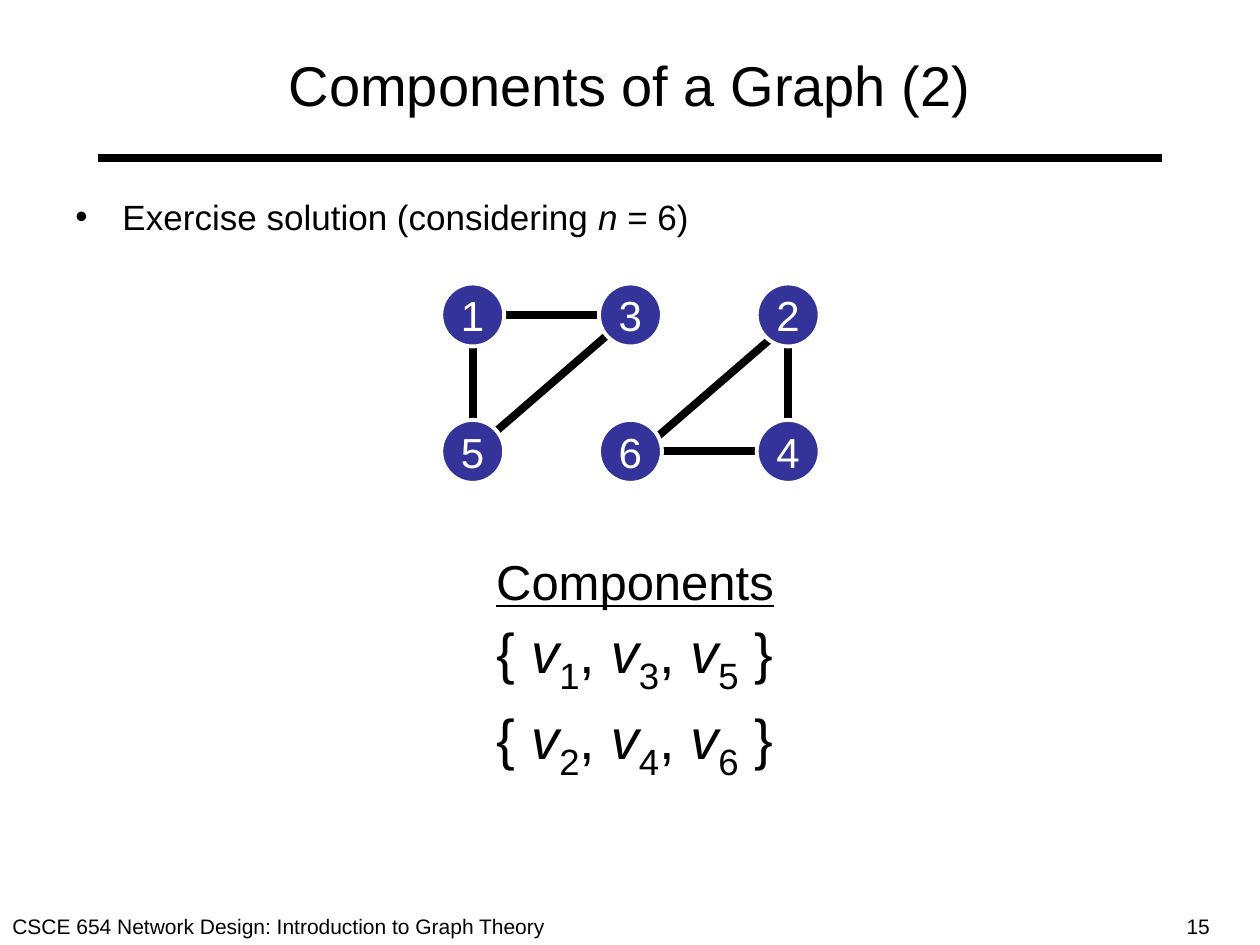
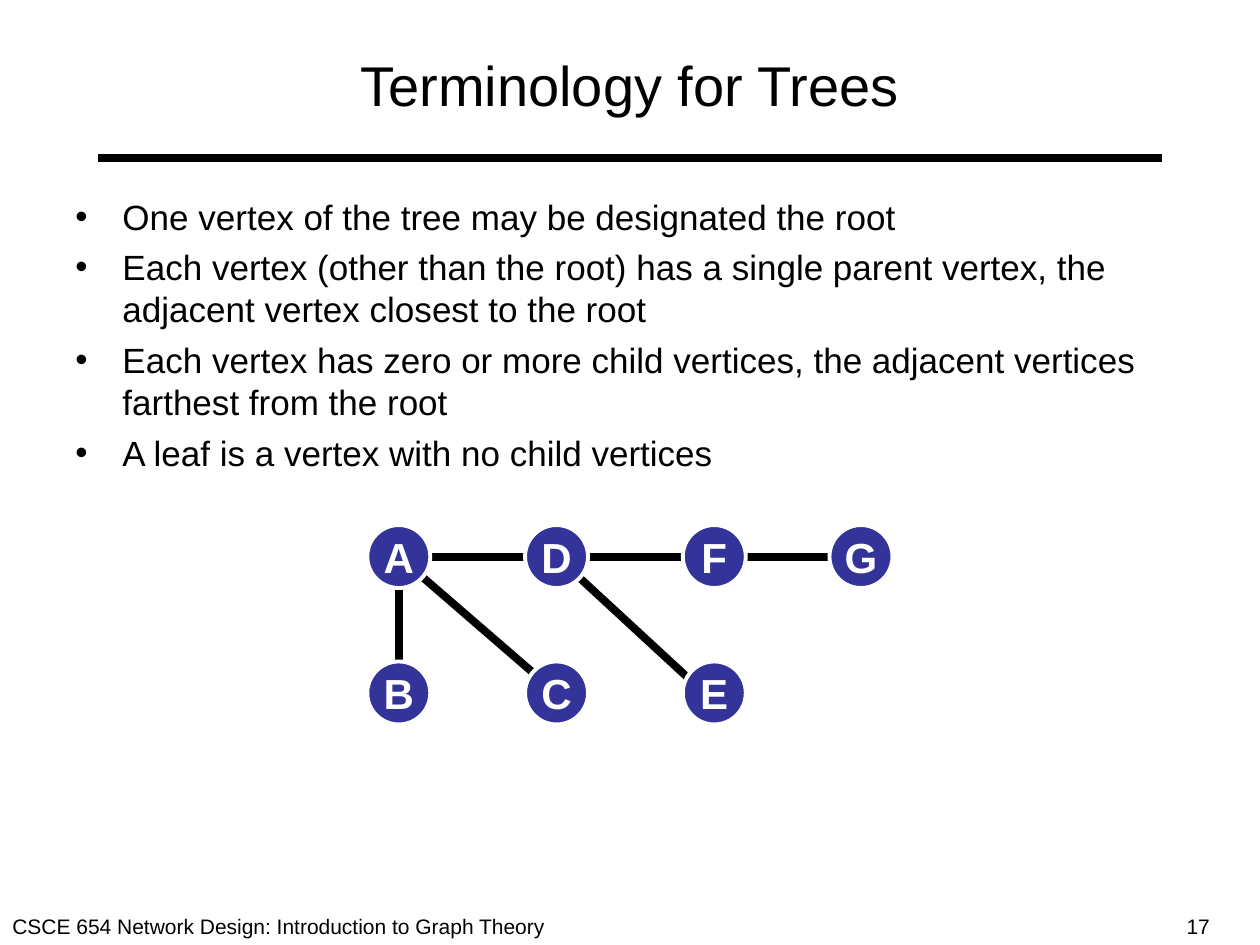
from lxml.etree import SubElement
from pptx import Presentation
from pptx.dml.color import RGBColor
from pptx.enum.shapes import MSO_CONNECTOR as CONN, MSO_SHAPE as SHAPE
from pptx.enum.text import MSO_ANCHOR as ANCHOR, PP_ALIGN as ALIGN
from pptx.oxml.ns import qn
from pptx.util import Cm, Pt

FONT, INK, PAPER, NODE = "Arial", "000000", "FFFFFF", "333399"
FOOTER = "CSCE 654 Network Design: Introduction to Graph Theory"
NODE_SIZE, COL_STEP, ROW_STEP = 1.27, 3.18, 2.75
LINE_WIDTH, INDENT = 4.5, 0.95

SLIDES = [
    {
        "title": "Components of a Graph (2)",
        "number": "15",
        "bullets": [
            [("Exercise solution (considering ", {}), ("n", {"italic": True}), (" = 6)", {})],
        ],
        "graph": {
            "origin": (9.53, 6.35),
            "bold": False,
            "nodes": {"1": (0, 0), "5": (0, 1), "3": (1, 0),
                      "6": (1, 1), "2": (2, 0), "4": (2, 1)},
            "edges": [("1", "3", 0, 0), ("5", "1", 0, 0), ("5", "3", 0, 0),
                      ("6", "2", 0.2, 0.2), ("6", "4", 0, 0), ("4", "2", 0, 0)],
        },
        "components": ["135", "246"],
    },
    {
        "title": "Terminology for Trees",
        "number": "17",
        "bullets": [
            [("One vertex of the tree may be designated the root", {})],
            [("Each vertex (other than the root) has a single parent vertex, "
              "the adjacent vertex closest to the root", {})],
            [("Each vertex has zero or more child vertices, "
              "the adjacent vertices farthest from the root", {})],
            [("A leaf is a vertex with no child vertices", {})],
        ],
        "graph": {
            "origin": (8.04, 11.22),
            "bold": True,
            "nodes": {"A": (0, 0), "B": (0, 1), "D": (1, 0), "C": (1, 1),
                      "F": (2, 0), "E": (2, 1), "G": (2.93, 0)},
            "edges": [("A", "B", 0, 0), ("D", "A", 0, 0), ("C", "A", 0, 0),
                      ("F", "D", 0, 0), ("D", "E", 0, -0.2), ("G", "F", 0, 0)],
        },
        "components": [],
    },
]


def rgb(color):
    return RGBColor.from_string(color)


def add_run(p, text, size, color=INK, bold=False, italic=False, underline=False, baseline=0):
    r = p.add_run()
    r.text = text
    f = r.font
    f.name, f.size, f.bold, f.italic, f.underline = FONT, Pt(size), bold, italic, underline
    f.color.rgb = rgb(color)
    if baseline:
        r._r.get_or_add_rPr().set("baseline", str(baseline * 1000))


def add_bullet(p):
    pPr = p._p.get_or_add_pPr()
    pPr.set("marL", str(Cm(INDENT)))
    pPr.set("indent", str(-Cm(INDENT)))
    SubElement(SubElement(pPr, qn("a:buClr")), qn("a:srgbClr"), val=INK)
    SubElement(pPr, qn("a:buFont"), typeface=FONT)
    SubElement(pPr, qn("a:buChar"), char="•")


def add_text(s, box, paragraphs, size, align=ALIGN.LEFT, anchor=ANCHOR.TOP,
             wrap=True, bullets=False, space=0):
    tf = s.shapes.add_textbox(*map(Cm, box)).text_frame
    tf.word_wrap, tf.vertical_anchor = wrap, anchor
    for i, runs in enumerate(paragraphs):
        p = tf.add_paragraph() if i else tf.paragraphs[0]
        p.alignment = align
        if i and space:
            p.space_before = Pt(space)
        if bullets:
            add_bullet(p)
        for text, style in runs:
            add_run(p, text, **{"size": size, **style})


def add_line(s, start, end):
    line = s.shapes.add_connector(CONN.STRAIGHT, *map(Cm, (*start, *end)))
    line.line.color.rgb = rgb(INK)
    line.line.width = Pt(LINE_WIDTH)
    SubElement(line._element.spPr, qn("a:effectLst"))


def add_node(s, label, center, bold):
    left, top = (c - NODE_SIZE / 2 for c in center)
    sp = s.shapes.add_shape(SHAPE.OVAL, *map(Cm, (left, top, NODE_SIZE, NODE_SIZE)))
    sp.shadow.inherit = False
    sp.fill.solid()
    sp.fill.fore_color.rgb = rgb(NODE)
    sp.line.color.rgb = rgb(PAPER)
    sp.line.width = Pt(2.25)
    tf = sp.text_frame
    tf.word_wrap, tf.vertical_anchor = False, ANCHOR.MIDDLE
    p = tf.paragraphs[0]
    p.alignment = ALIGN.CENTER
    add_run(p, label, 24, PAPER, bold)


def add_graph(s, origin, bold, nodes, edges):
    x0, y0 = origin
    centers = {name: (x0 + col * COL_STEP, y0 + row * ROW_STEP)
               for name, (col, row) in nodes.items()}
    for a, b, shift_a, shift_b in edges:
        (xa, ya), (xb, yb) = centers[a], centers[b]
        add_line(s, (xa + shift_a, ya), (xb + shift_b, yb))
    for name, center in centers.items():
        add_node(s, name, center, bold)


def component_runs(vertices):
    runs = []
    for i, vertex in enumerate(vertices):
        runs += [(", " if i else "{ ", {}), ("v", {"italic": True}),
                 (vertex, {"size": 36, "baseline": -25})]
    return runs + [(" }", {})]


def add_frame(s, title, number):
    add_line(s, (1.98, 3.18), (23.42, 3.18))
    add_text(s, (0, 18.29, 11.5, 0.76), [[(FOOTER, {})]], 12)
    add_text(s, (23.67, 18.29, 1.73, 0.76), [[(number, {})]], 12)
    add_text(s, (1.27, 0.43, 22.86, 2.54), [[(title, {})]], 32, ALIGN.CENTER, ANCHOR.MIDDLE)


def main():
    prs = Presentation()
    prs.slide_width, prs.slide_height = Cm(25.4), Cm(19.05)
    for content in SLIDES:
        s = prs.slides.add_slide(prs.slide_layouts[6])
        add_frame(s, content["title"], content["number"])
        add_text(s, (1.27, 3.81, 22.86, 13.21), content["bullets"], 20, bullets=True, space=5)
        add_graph(s, **content["graph"])
        if content["components"]:
            heading = [("Components", {"size": 28, "underline": True})]
            sets = [component_runs(vertices) for vertices in content["components"]]
            add_text(s, (9.75, 11, 6.1, 4.93), [heading, *sets], 32, ALIGN.CENTER, wrap=False)
    prs.save("out.pptx")


if __name__ == "__main__":
    main()
